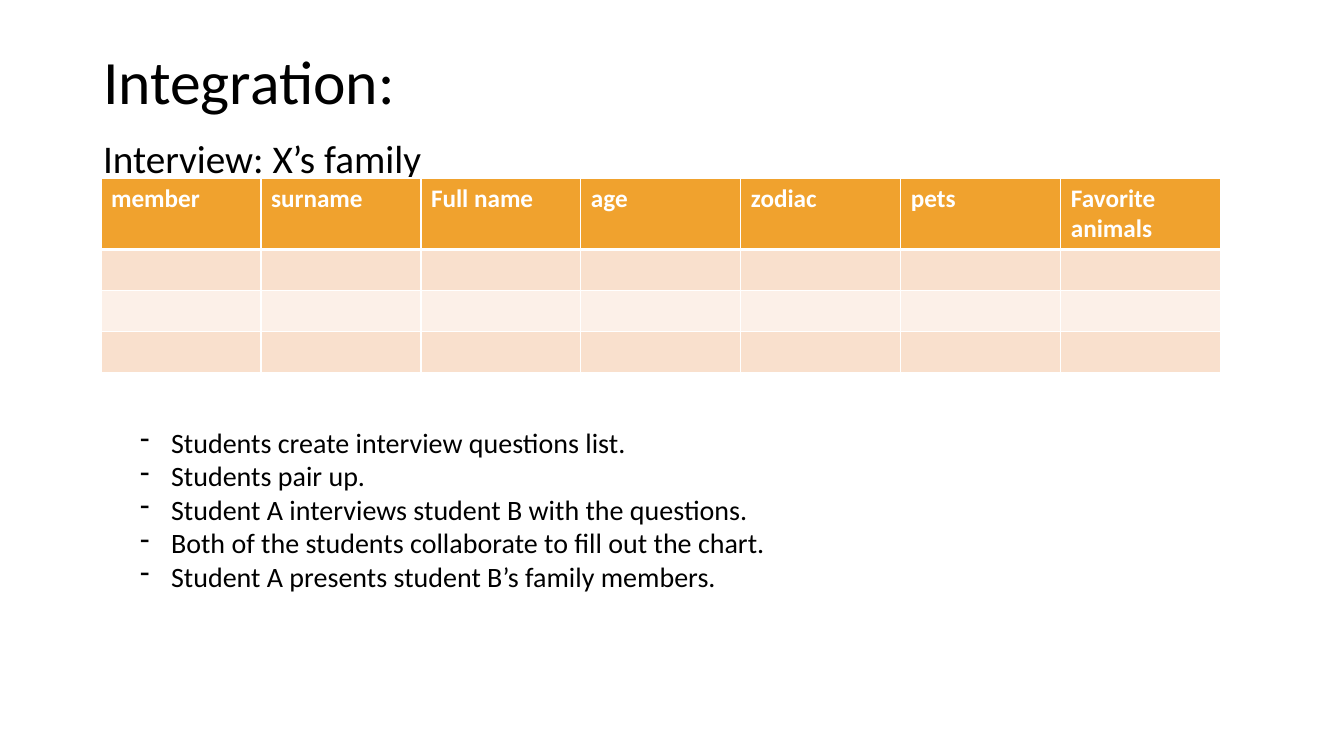
import dataclasses
import typing

import pptx
import pptx.dml.color
import pptx.enum.text
import pptx.oxml
import pptx.oxml.ns
import pptx.util

PX = 914400 / 100.8
FONT = "Calibri"
COLOURS = {
    "text": "000000",
    "white": "FFFFFF",
    "header": "F0A22E",
    "odd_row": "F9E0CD",
    "even_row": "FCF0E8",
}

HEADINGS = ["member", "surname", "Full name", "age", "zodiac", "pets", "Favorite animals"]
TABLE_LEFT, TABLE_TOP, COLUMN_WIDTH = 101, 178, 160
ROW_HEIGHTS = [71, 41, 41, 41]


@dataclasses.dataclass
class TextBlock:
    index: int
    left: int
    top: int
    width: int
    height: int
    size: int
    lines: list[str]
    line_spacing: float = 0.9
    anchor: typing.Any = pptx.enum.text.MSO_ANCHOR.TOP
    bullet: str = ""
    indent: int = 0


BLOCKS = [
    TextBlock(0, 93, 40, 1159, 90, 44, ["Integration:"],
              anchor=pptx.enum.text.MSO_ANCHOR.MIDDLE),
    TextBlock(1, 93, 135, 1159, 267, 28, ["Interview: X’s family"]),
    TextBlock(2, 130, 420, 1089, 179, 20, [
        "Students create interview questions list.",
        "Students pair up.",
        "Student A interviews student B with the questions.",
        "Both of the students collaborate to fill out the chart.",
        "Student A presents student B’s family members.",
    ], line_spacing=1.0, bullet="-", indent=31),
]


def px(length: int) -> pptx.util.Emu:
    return pptx.util.Emu(round(length * PX))


def rgb(name: str) -> pptx.dml.color.RGBColor:
    return pptx.dml.color.RGBColor.from_string(COLOURS[name])


def add_span(para, text: str, size: int, colour: str, bold: bool = False) -> None:
    span = para.add_run()
    span.text = text
    span.font.name = FONT
    span.font.size = pptx.util.Pt(size)
    span.font.bold = bold
    span.font.color.rgb = rgb(colour)


def set_bullet(para, bullet: str, indent: int) -> None:
    properties = para._p.get_or_add_pPr()
    properties.set("marL", str(px(indent)))
    properties.set("indent", str(-px(indent)))
    if bullet:
        pptx.oxml.ns.qn("a:buChar")
        properties.append(make_element("buFontTx"))
        properties.append(make_element("buChar", f'char="{bullet}"'))
    else:
        properties.append(make_element("buNone"))


def make_element(tag: str, attributes: str = "", content: str = ""):
    namespace = pptx.oxml.ns.nsdecls("a")
    return pptx.oxml.parse_xml(f"<a:{tag} {namespace} {attributes}>{content}</a:{tag}>")


def fill_placeholder(page, block: TextBlock) -> None:
    box = page.placeholders[block.index]
    box.left, box.top = px(block.left), px(block.top)
    box.width, box.height = px(block.width), px(block.height)
    frame = box.text_frame
    frame.word_wrap = True
    frame.auto_size = pptx.enum.text.MSO_AUTO_SIZE.NONE
    frame.vertical_anchor = block.anchor
    for number, line in enumerate(block.lines):
        para = frame.add_paragraph() if number else frame.paragraphs[0]
        set_bullet(para, block.bullet, block.indent)
        para.alignment = pptx.enum.text.PP_ALIGN.LEFT
        para.line_spacing = block.line_spacing
        para.space_before = pptx.util.Pt(0)
        add_span(para, line, block.size, "text")


def set_borders(cell, top: int, bottom: int) -> None:
    properties = cell._tc.get_or_add_tcPr()
    for side, points in {"L": 1, "R": 1, "T": top, "B": bottom}.items():
        colour = f'<a:solidFill><a:srgbClr val="{COLOURS["white"]}"/></a:solidFill>'
        properties.append(make_element(f"ln{side}", f'w="{pptx.util.Pt(points)}"', colour))


def add_family_table(page) -> None:
    table = page.shapes.add_table(
        len(ROW_HEIGHTS), len(HEADINGS), px(TABLE_LEFT), px(TABLE_TOP),
        px(COLUMN_WIDTH * len(HEADINGS)), px(sum(ROW_HEIGHTS))).table
    for column in table.columns:
        column.width = px(COLUMN_WIDTH)
    for number, height in enumerate(ROW_HEIGHTS):
        row = table.rows[number]
        row.height = px(height)
        fill = "header" if number == 0 else "odd_row" if number % 2 else "even_row"
        for cell, heading in zip(row.cells, HEADINGS):
            set_borders(cell, top=3 if number == 1 else 1, bottom=3 if number == 0 else 1)
            cell.fill.solid()
            cell.fill.fore_color.rgb = rgb(fill)
            if number == 0:
                add_span(cell.text_frame.paragraphs[0], heading, 18, "white", bold=True)


def main() -> None:
    deck = pptx.Presentation()
    deck.slide_width, deck.slide_height = px(1344), px(756)
    page = deck.slides.add_slide(deck.slide_layouts.get_by_name("Two Content"))
    for placeholder in list(page.placeholders):
        if placeholder.placeholder_format.idx > 2:
            placeholder.element.getparent().remove(placeholder.element)
    page.background.fill.solid()
    page.background.fill.fore_color.rgb = rgb("white")
    for block in BLOCKS:
        fill_placeholder(page, block)
    add_family_table(page)
    deck.save("out.pptx")


if __name__ == "__main__":
    main()
